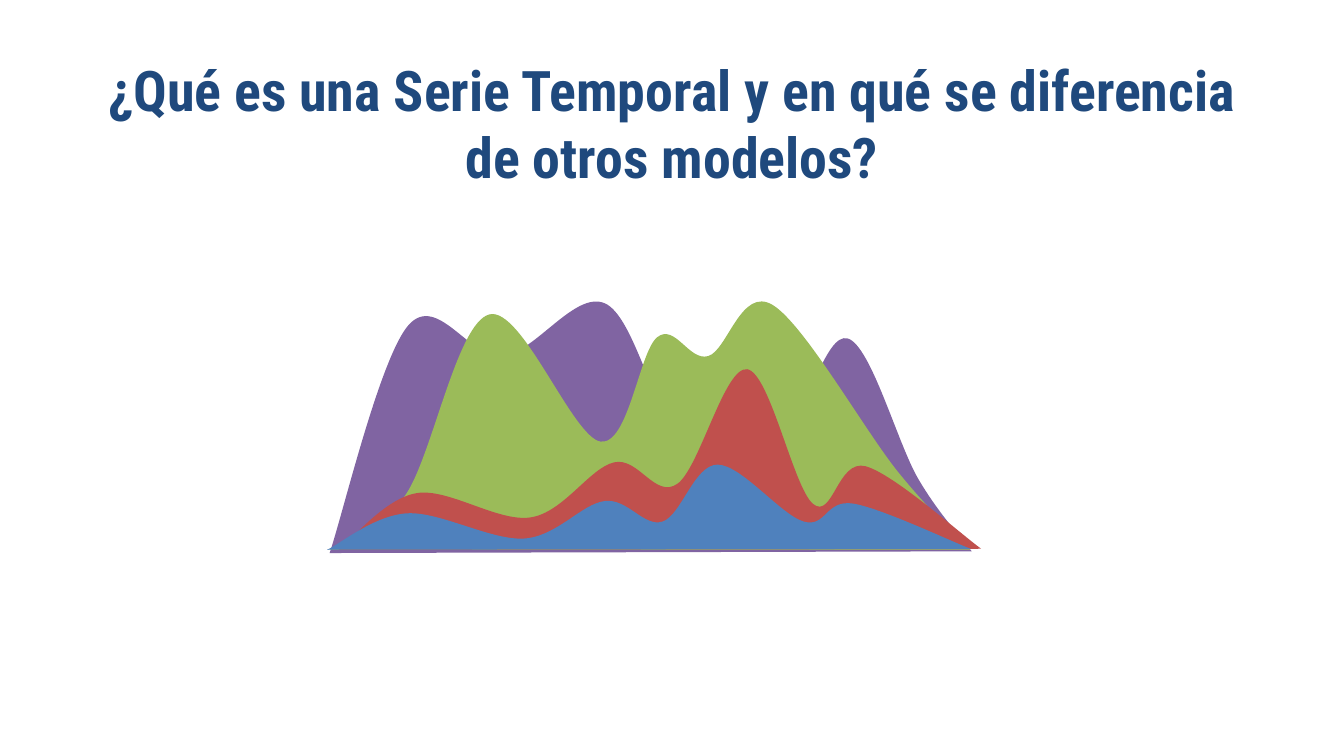
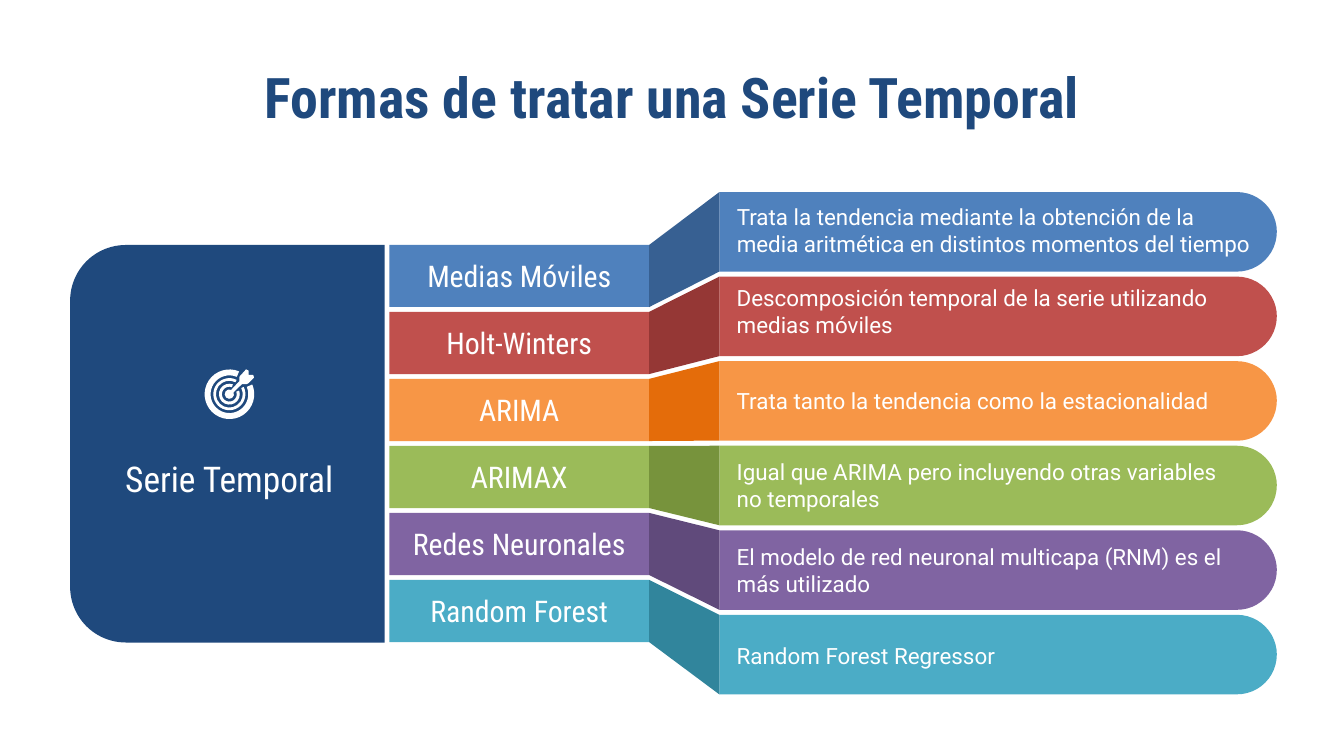
import math

from lxml import etree
from pptx import Presentation
from pptx.dml.color import RGBColor
from pptx.enum import shapes, text
from pptx.oxml import ns
from pptx.util import Pt

COLORS = {
    "navy": "1F497D", "white": "FFFFFF",
    "blue": "4F81BD", "dark_blue": "376092",
    "red": "C0504D", "dark_red": "953735",
    "orange": "F79646", "dark_orange": "E46C0A",
    "green": "9BBB59", "dark_green": "77933C",
    "purple": "8064A2", "dark_purple": "604A7B",
    "teal": "4BACC6", "dark_teal": "31859C",
}

TITLES = [
    ("¿Qué es una Serie Temporal y en qué se diferencia de otros modelos?", 46.8),
    ("Formas de tratar una Serie Temporal", 32.4),
]

WAVES = [
    ("purple", [(176.6, 296.3), (218.9, 174.2), (269.3, 190.8), (324, 162.5), (365, 232.6),
                (417.6, 232.6), (454.3, 181.4), (491.8, 256.3), (520.6, 295.4)]),
    ("green", [(176.4, 294.5), (217.4, 265), (262.1, 168.5), (321.8, 236.6), (352.1, 180.7),
               (379.4, 190.8), (414, 163.4), (481, 252.7), (519.8, 294.5)]),
    ("red", [(181.4, 294.5), (223.2, 264.2), (284.4, 277.2), (329, 247.7), (362.9, 259.2),
             (400.3, 197.8), (435.6, 270), (463.7, 249.8), (525.6, 294)]),
    ("blue", [(175.3, 294.5), (218.2, 275), (280.8, 288.5), (324, 268.4), (355, 279.4),
              (384.5, 248.9), (430.6, 279.4), (457.2, 269.8), (520, 294)]),
]

TOPIC = "Serie Temporal"
METHODS = [
    ("Medias Móviles", "Trata la tendencia mediante la obtención de la media aritmética "
     "en distintos momentos del tiempo", "blue", 294.5, 1),
    ("Holt-Winters", "Descomposición temporal de la serie utilizando medias móviles",
     "red", 276.5, 3),
    ("ARIMA", "Trata tanto la tendencia como la estacionalidad", "orange", 276.5, 0),
    ("ARIMAX", "Igual que ARIMA pero incluyendo otras variables no temporales",
     "green", 276.5, 0.3),
    ("Redes Neuronales", "El modelo de red neuronal multicapa (RNM) es el más utilizado",
     "purple", 276.5, 0),
    ("Random Forest", "Random Forest Regressor", "teal", 276.5, -0.4),
]

TOPIC_BOX = (37.6, 131.2, 168.5, 213)
LABEL = {"left": 208.6, "top": 131.2, "width": 139.2, "height": 33.3, "step": 35.9}
LABEL_TEXT = {"inset": 2.3, "drop": 4.4, "height": 24.5}
BAR = {"left": 385.4, "top": 102.9, "width": 298.6, "height": 42.6, "step": 45.3}

TARGET_CENTER = (122.9, 211.2)
TARGET_RINGS = [(8.6, 7.2, 27), (5.6, 4, 20), (13.3, 10.1, 23)]
DART_HUB = 2.5
DART_FINS = [(6.8, -5.4), (9.4, -5.4), (10.3, -5.9), (13.2, -8.9), (12.8, -10.3),
             (10.3, -10.3), (10.3, -12.6), (9, -13.3), (5.9, -9.9), (5.4, -9.2), (5.4, -7)]

CONDENSED = "Roboto Condensed"


def color(name):
    return RGBColor.from_string(COLORS[name])


def paint(shape, fill):
    shape.shadow.inherit = False
    shape.fill.solid()
    shape.fill.fore_color.rgb = color(fill)
    shape.line.fill.background()
    return shape


def write(shape, words, size, font, ink="white", bold=False, centered=True):
    frame = shape.text_frame
    frame.text = words
    layout = {"word_wrap": True, "auto_size": text.MSO_AUTO_SIZE.NONE,
              "vertical_anchor": text.MSO_ANCHOR.MIDDLE}
    layout.update({f"margin_{side}": Pt(7.2) for side in ("left", "right", "top", "bottom")})
    for name, value in layout.items():
        setattr(frame, name, value)
    paragraph = frame.paragraphs[0]
    paragraph.alignment = text.PP_ALIGN.CENTER if centered else text.PP_ALIGN.LEFT
    for name, value in {"size": Pt(size), "name": font, "bold": bold}.items():
        setattr(paragraph.font, name, value)
    paragraph.font.color.rgb = color(ink)


def add_text(slide, box, *words, **style):
    write(slide.shapes.add_textbox(*map(Pt, box)), *words, **style)


def add_preset(slide, kind, box, fill):
    return paint(slide.shapes.add_shape(kind, *map(Pt, box)), fill)


def add_outline(parent, start, segments, fill, close=True):
    builder = parent.shapes.build_freeform(*map(Pt, start), scale=1.0)
    builder.add_line_segments([tuple(map(Pt, points[-1])) for points in segments], close=close)
    shape = paint(builder.convert_to_shape(), fill)
    lines = list(shape.element.iter(ns.qn("a:lnTo")))
    for line, points in zip(lines, segments):
        if len(points) == 3:
            curve = etree.Element(ns.qn("a:cubicBezTo"))
            for x, y in points:
                place = {"x": str(Pt(x) - shape.left), "y": str(Pt(y) - shape.top)}
                etree.SubElement(curve, ns.qn("a:pt"), place)
            line.getparent().replace(line, curve)
    return shape


def add_round_end(slide, box, rotation, roundness, fill):
    left, top, width, height = box
    shift = (width - height) / 2
    turned = (left + shift, top - shift, height, width)
    shape = add_preset(slide, shapes.MSO_SHAPE.ROUND_2_SAME_RECTANGLE, turned, fill)
    shape.rotation = rotation
    shape.adjustments[0] = roundness
    shape.adjustments[1] = 0


def smooth(anchors):
    padded = [anchors[0], *anchors, anchors[-1]]
    return [
        (tuple(b + (c - a) / 6 for a, b, c in zip(before, start, end)),
         tuple(c - (d - b) / 6 for b, c, d in zip(start, end, after)), end)
        for before, start, end, after in zip(padded, padded[1:], padded[2:], padded[3:])]


def target_point(radius, angle):
    x, y = TARGET_CENTER
    return x + radius * math.cos(angle), y + radius * math.sin(angle)


def arc(radius, start, end):
    step = math.radians(end - start) / 4
    handle = 4 / 3 * math.tan(step / 4)
    reach, lean = radius * math.hypot(1, handle), math.atan(handle)
    angles = [math.radians(start) + step * index for index in range(5)]
    return [(target_point(reach, first + lean), target_point(reach, last - lean),
             target_point(radius, last)) for first, last in zip(angles, angles[1:])]


def add_target(slide):
    group = slide.shapes.add_group_shape()
    for outer, inner, gap_edge in TARGET_RINGS:
        start, end = -gap_edge, 270 + gap_edge
        inner_arc = arc(inner, end, start)
        inner_start = target_point(inner, math.radians(end))
        add_outline(group, target_point(outer, math.radians(start)),
                    [*arc(outer, start, end), (inner_start,), *inner_arc], "white")
    x, y = TARGET_CENTER
    fins = [((x + dx, y + dy),) for dx, dy in DART_FINS]
    hub_start = target_point(DART_HUB, math.radians(-66))
    add_outline(group, target_point(DART_HUB, math.radians(-24)),
                [*fins, (hub_start,), *arc(DART_HUB, -66, -384)], "white")


def add_titled_slide(presentation, title, top):
    slide = presentation.slides.add_slide(presentation.slide_layouts[5])
    place = {"left": 36, "top": top, "width": 648, "height": 38.2}
    for name, value in place.items():
        setattr(slide.shapes.title, name, Pt(value))
    write(slide.shapes.title, title, 30, CONDENSED, ink="navy", bold=True)
    return slide


def add_method(slide, index, name, description, hue, text_width, lift):
    label_top = LABEL["top"] + index * LABEL["step"]
    bar_top = BAR["top"] + index * BAR["step"]
    label_right = LABEL["left"] + LABEL["width"]
    label_box = (LABEL["left"], label_top, LABEL["width"], LABEL["height"])
    add_preset(slide, shapes.MSO_SHAPE.RECTANGLE, label_box, hue)
    add_round_end(slide, (BAR["left"], bar_top, BAR["width"], BAR["height"]), 90, 0.5, hue)
    corners = [(label_right, label_top + LABEL["height"]),
               (BAR["left"], bar_top + BAR["height"]), (BAR["left"], bar_top)]
    add_outline(slide, (label_right, label_top), [(corner,) for corner in corners],
                f"dark_{hue}")
    inset = LABEL_TEXT["inset"]
    add_text(slide, (LABEL["left"] + inset, label_top + LABEL_TEXT["drop"],
                     LABEL["width"] - 2 * inset, LABEL_TEXT["height"]), name, 16, CONDENSED)
    add_text(slide, (BAR["left"] + 2.2, bar_top - lift, text_width, BAR["height"]),
             description, 12, "Roboto", centered=False)


def main():
    presentation = Presentation()
    presentation.slide_width, presentation.slide_height = Pt(720), Pt(405)
    waves_slide, methods_slide = [add_titled_slide(presentation, *title) for title in TITLES]

    for hue, anchors in WAVES:
        add_outline(waves_slide, anchors[0], smooth(anchors), hue, close=False)

    add_round_end(methods_slide, TOPIC_BOX, 270, 0.177, "navy")
    for index, method in enumerate(METHODS):
        add_method(methods_slide, index, *method)
    add_text(methods_slide, (55.6, 235, 134.6, 42.5), TOPIC, 19, CONDENSED)
    add_target(methods_slide)
    presentation.save("out.pptx")


if __name__ == "__main__":
    main()
